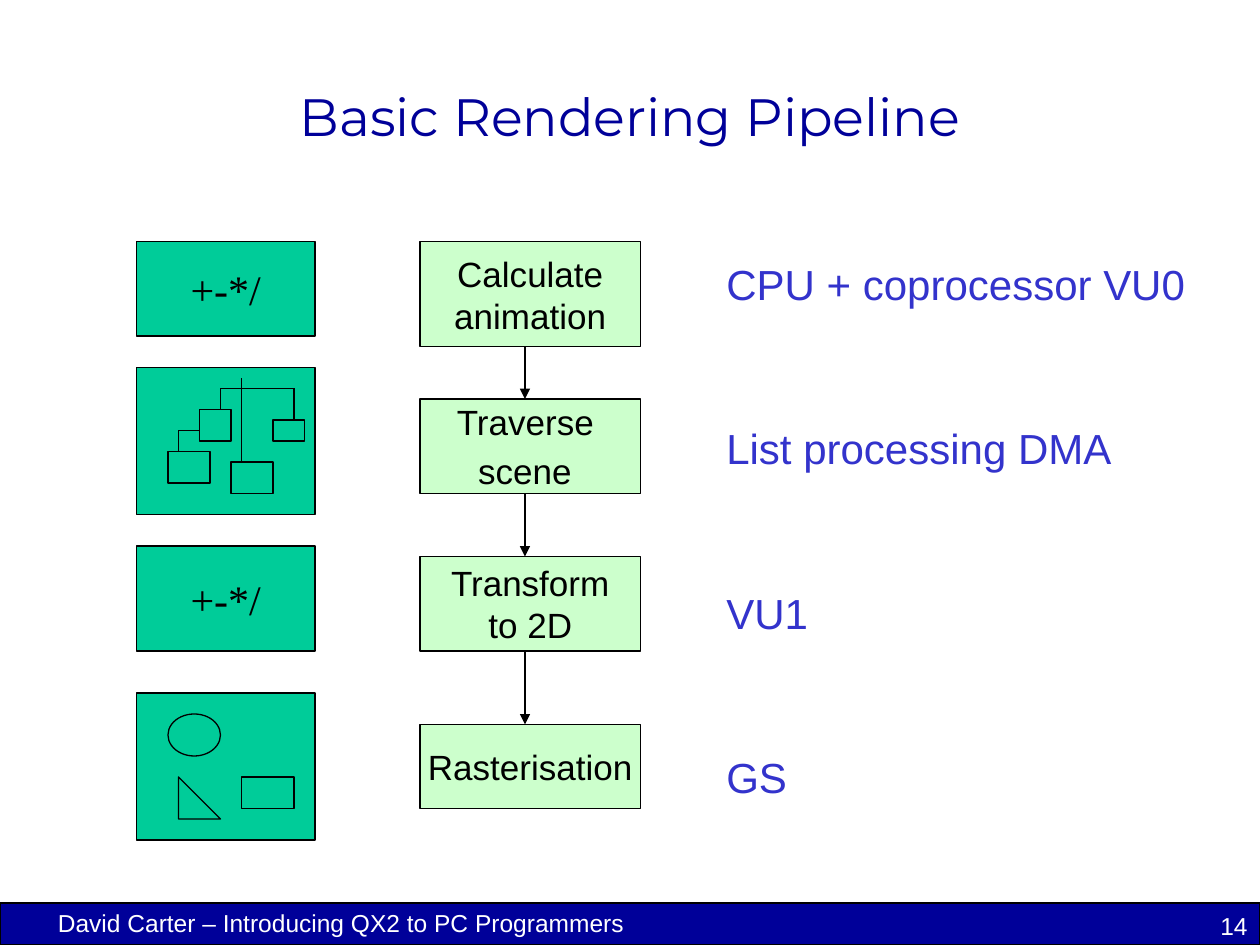
import pptx
import pptx.util
import pptx.dml.color
import pptx.enum.shapes
import pptx.enum.text
import pptx.oxml.ns
from lxml import etree

SHAPE = pptx.enum.shapes.MSO_SHAPE
ALIGN = pptx.enum.text.PP_ALIGN
ANCHOR = pptx.enum.text.MSO_ANCHOR

NAVY, BLUE, WHITE, BLACK = "000099", "3333CC", "FFFFFF", "000000"
MINT, GREEN = "CCFFCC", "00CC99"


def grid(units):
    """The slide is laid out on a grid of 12 units to the inch."""
    return pptx.util.Cm(units * 2.54 / 12)


def colour(hex_code):
    return pptx.dml.color.RGBColor.from_string(hex_code)


class PipelineSlide:
    font = "Arial"
    symbol_font = "Times New Roman"
    line_width = 0.75

    def __init__(self, deck):
        self.slide = deck.slides.add_slide(deck.slide_layouts[6])

    def fill_text(self, frame, paragraphs, align, anchor, before=(0,)):
        """Each paragraph is a list of runs: (text, size, font, colour)."""
        frame.vertical_anchor = anchor
        for index, runs in enumerate(paragraphs):
            paragraph = frame.paragraphs[0] if index == 0 else frame.add_paragraph()
            paragraph.alignment = align
            paragraph.space_before = pptx.util.Pt(before[min(index, len(before) - 1)])
            for words, size, font, ink in runs:
                run = paragraph.add_run()
                run.text = words
                run.font.size = pptx.util.Pt(size)
                run.font.name = font
                run.font.color.rgb = colour(ink)

    def shape(self, kind, box, fill, paragraphs=()):
        shape = self.slide.shapes.add_shape(kind, *map(grid, box))
        shape.shadow.inherit = False
        shape.fill.solid()
        shape.fill.fore_color.rgb = colour(fill)
        shape.line.color.rgb = colour(BLACK)
        shape.line.width = pptx.util.Pt(self.line_width)
        if paragraphs:
            shape.text_frame.word_wrap = False
            self.fill_text(shape.text_frame, paragraphs, ALIGN.CENTER, ANCHOR.MIDDLE)

    def text(self, box, paragraphs, align=ALIGN.LEFT, anchor=ANCHOR.TOP, before=(0,)):
        frame = self.slide.shapes.add_textbox(*map(grid, box)).text_frame
        frame.word_wrap = True
        self.fill_text(frame, paragraphs, align, anchor, before)

    def line(self, x1, y1, x2, y2, arrow=False):
        line = self.slide.shapes.add_connector(
            pptx.enum.shapes.MSO_CONNECTOR.STRAIGHT, *map(grid, (x1, y1, x2, y2)))
        line.line.color.rgb = colour(BLACK)
        line.line.width = pptx.util.Pt(self.line_width)
        properties = line._element.spPr
        if arrow:
            etree.SubElement(properties.find(pptx.oxml.ns.qn("a:ln")),
                             pptx.oxml.ns.qn("a:tailEnd"), type="triangle")
        etree.SubElement(properties, pptx.oxml.ns.qn("a:effectLst"))


def main():
    deck = pptx.Presentation()
    deck.slide_width, deck.slide_height = grid(120), grid(90)
    page = PipelineSlide(deck)
    font = page.font

    # Footer
    page.shape(SHAPE.RECTANGLE, (0, 86, 120, 4), NAVY)
    page.text((3, 85.9, 59, 3.4),
              [[("David Carter – Introducing QX2 to PC Programmers", 14, font, WHITE)]],
              ALIGN.CENTER, before=(3.5,))
    page.text((95, 86.2, 25, 4), [[("14", 14, font, WHITE)]], ALIGN.RIGHT)

    # Title
    page.text((9, 6, 102, 10),
              [[("Basic Rendering Pipeline", 30, "Montserrat", NAVY)]],
              ALIGN.CENTER, ANCHOR.MIDDLE)

    # Pipeline stages: top, height, lines of text
    stages = [
        (23, 10, ["Calculate", "animation"]),
        (38, 9, ["Traverse ", "scene"]),
        (53, 9, ["Transform", "to 2D"]),
        (69, 8, ["Rasterisation"]),
    ]
    for top, height, label in stages:
        paragraphs = [[(words, 20, font, BLACK)] for words in label]
        if "scene" in label:
            paragraphs[-1].append((" ", 24, page.symbol_font, BLACK))
        page.shape(SHAPE.RECTANGLE, (40, top, 21, height), MINT, paragraphs)
    for (top, height, _), (next_top, _, _) in zip(stages, stages[1:]):
        page.line(50, top + height, 50, next_top, arrow=True)

    # Panels beside the stages: top, height, symbols
    arithmetic = [[("+-*/", 24, page.symbol_font, BLACK)]]
    panels = [(23, 9, arithmetic), (35, 14, ()), (52, 10, arithmetic), (66, 14, ())]
    for top, height, symbols in panels:
        page.shape(SHAPE.RECTANGLE, (13, top, 17, height), GREEN, symbols)

    # Scene tree
    for node in [(19, 39, 3, 3), (26, 40, 3, 2), (22, 44, 4, 3), (16, 43, 4, 3)]:
        page.shape(SHAPE.RECTANGLE, node, GREEN)
    for branch in [(23, 36, 23, 44), (21, 37, 28, 37), (28, 40, 28, 37),
                   (21, 39, 21, 37), (19, 41, 17, 41), (17, 43, 17, 41)]:
        page.line(*branch)

    # Raster primitives
    page.shape(SHAPE.OVAL, (16, 68, 5, 4), GREEN)
    page.shape(SHAPE.RECTANGLE, (23, 74, 5, 3), GREEN)
    page.shape(SHAPE.RIGHT_TRIANGLE, (17, 74, 4, 4), GREEN)

    # Hardware for each stage
    hardware = ["CPU + coprocessor VU0", "List processing DMA", "VU1", "GS"]
    page.text((68, 24, 47, 58), [[(unit, 24, font, BLUE)] for unit in hardware],
              before=(6, 65.2))

    deck.save("out.pptx")


if __name__ == "__main__":
    main()
